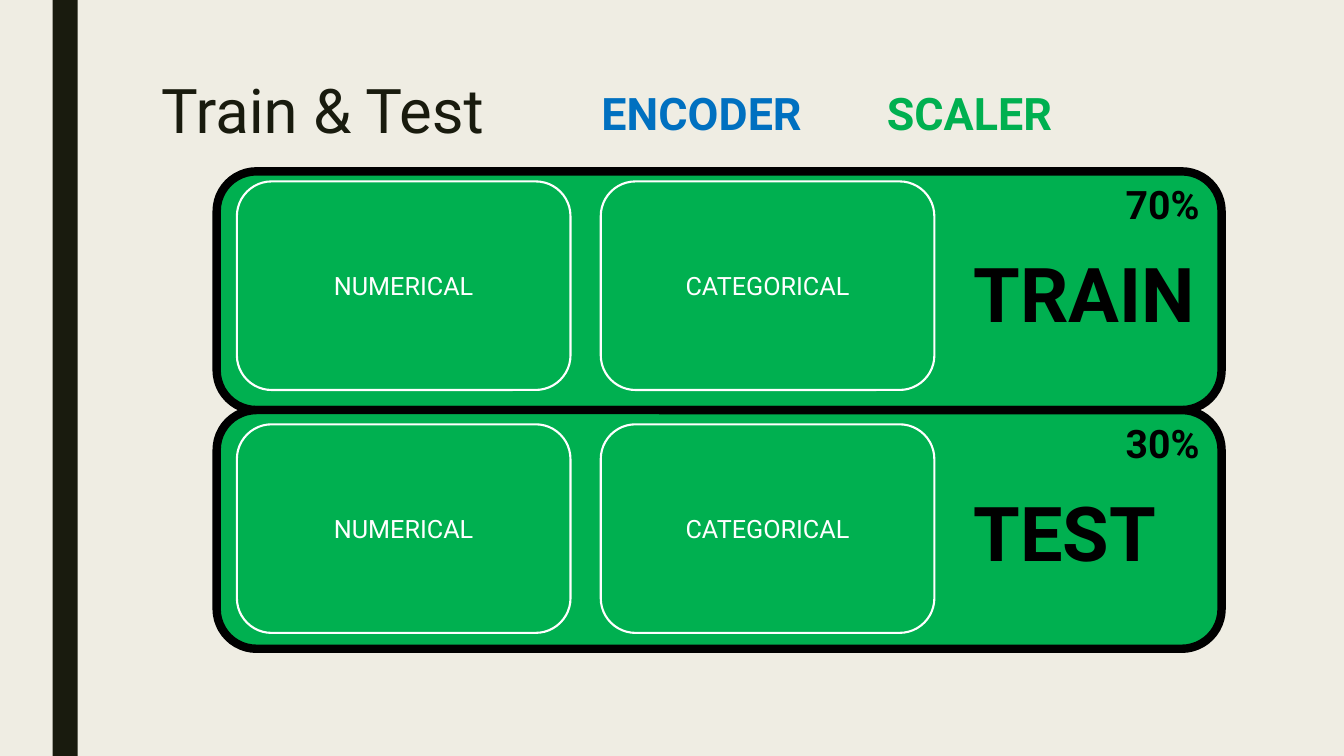
from pptx import Presentation
from pptx.dml.color import RGBColor
from pptx.enum.shapes import MSO_SHAPE as SHAPE
from pptx.enum.text import MSO_ANCHOR as ANCHOR, PP_ALIGN as ALIGN
from pptx.util import Pt

FONT = "Roboto"
PAPER, INK, BLACK, WHITE = "EFEDE3", "191B0E", "000000", "FFFFFF"
GREEN, BLUE = "00B050", "0070C0"

TITLE = "Train & Test"
STEPS = [("ENCODER", BLUE), ("SCALER", GREEN)]
SPLITS = [("TRAIN", "70%", 129.6), ("TEST", "30%", 303.1)]
FEATURES = ["NUMERICAL", "CATEGORICAL"]

PANEL_X, PANEL_Y, PANEL_W, PANEL_H = 154.8, 122.4, 717.8, 170.5
CELL_X, CELL_W, CELL_H, CELL_STEP = 169.2, 238.3, 149, 259.9
STEP_X, STEP_W = 422.6, 203.8


def rgb(value):
    return RGBColor.from_string(value)


def add_run(tf, text, size, color, bold=False):
    p = tf.paragraphs[0]
    r = p.add_run()
    r.text = text
    r.font.name = FONT
    r.font.size = Pt(size)
    r.font.bold = bold
    r.font.color.rgb = rgb(color)
    return p


def add_box(kind, x, y, w, h, fill, line=None, width=0):
    sp = s.shapes.add_shape(kind, Pt(x), Pt(y), Pt(w), Pt(h))
    sp.shadow.inherit = False
    sp.fill.solid()
    sp.fill.fore_color.rgb = rgb(fill)
    if line:
        sp.line.color.rgb = rgb(line)
        sp.line.width = Pt(width)
    else:
        sp.line.fill.background()
    return sp


def add_label(text, x, y, w, h, size, color, bold=True):
    tf = s.shapes.add_textbox(Pt(x), Pt(y), Pt(w), Pt(h)).text_frame
    tf.word_wrap = True
    return add_run(tf, text, size, color, bold)


prs = Presentation()
prs.slide_width, prs.slide_height = Pt(960), Pt(540)
s = prs.slides.add_slide(prs.slide_layouts[6])
s.background.fill.solid()
s.background.fill.fore_color.rgb = rgb(PAPER)

add_box(SHAPE.RECTANGLE, 37.5, 0, 18, 540, INK)
add_label(TITLE, 108, 54, 300, 116.6, 44, INK, False).line_spacing = 0.89

for i, (step, color) in enumerate(STEPS):
    add_label(step, STEP_X + i * STEP_W, 57.6, STEP_W, 46, 32, color)

for i, (split, share, cell_y) in enumerate(SPLITS):
    y = PANEL_Y + i * PANEL_H
    add_box(SHAPE.ROUNDED_RECTANGLE, PANEL_X, y, PANEL_W, PANEL_H, GREEN, BLACK, 6)
    for j, feature in enumerate(FEATURES):
        sp = add_box(SHAPE.ROUNDED_RECTANGLE, CELL_X + j * CELL_STEP, cell_y,
                     CELL_W, CELL_H, GREEN, WHITE, 1.5)
        sp.text_frame.vertical_anchor = ANCHOR.MIDDLE
        add_run(sp.text_frame, feature, 18, WHITE).alignment = ALIGN.CENTER
    add_label(split, 688.3, y + 50.4, 203.8, 72.7, 54, BLACK)
    add_label(share, 797, y + 3, 71.3, 41, 28, BLACK)

prs.save("out.pptx")
